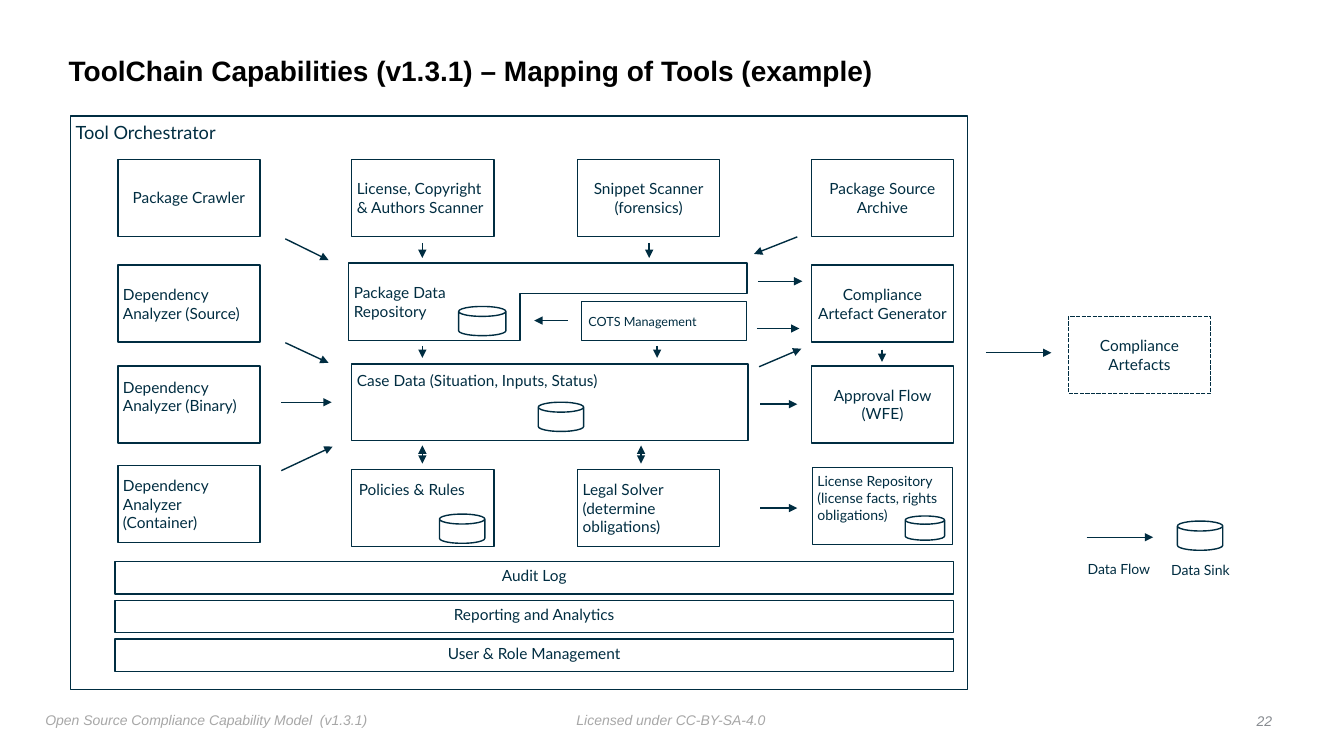
from lxml import etree
from pptx import Presentation
from pptx import util as u
from pptx.dml.color import RGBColor
from pptx.enum import dml, shapes, text
from pptx.oxml.ns import qn

NAVY = RGBColor(0x00, 0x2D, 0x41)
WHITE = RGBColor(0xFF, 0xFF, 0xFF)
BLACK = RGBColor(0x00, 0x00, 0x00)
FOOTER_GREY = RGBColor(0xA7, 0xA7, 0xA7)
NUMBER_GREY = RGBColor(0x88, 0x8C, 0x91)

LEFT, CENTER, RIGHT = text.PP_ALIGN.LEFT, text.PP_ALIGN.CENTER, text.PP_ALIGN.RIGHT
TOP, MIDDLE = text.MSO_ANCHOR.TOP, text.MSO_ANCHOR.MIDDLE
INSET = 3.6
BOX_W, BOX_H = 101.5, 55
COLUMNS = (84.2, 251.3, 412.6, 579.6)
ROWS = (113.8, 189.4, 261.4, 335.5)
BARS = ("Audit Log", "Reporting and Analytics", "User & Role Management")
BAR_TOP, BAR_STEP = 401, 27.75

# wording, column, row, alignment, formats that differ
GRID_BOXES = [
    ("Package Crawler", 0, 0, CENTER, {}),
    ("License, Copyright & Authors Scanner", 1, 0, LEFT, {}),
    ("Snippet Scanner\n(forensics)", 2, 0, CENTER, {}),
    ("Package Source Archive", 3, 0, CENTER, {}),
    ("Dependency Analyzer (Source)", 0, 1, LEFT, {}),
    ("Compliance Artefact Generator", 3, 1, CENTER, {}),
    ("Dependency Analyzer (Binary)", 0, 2, LEFT, {"anchor": TOP, "top": 8.6}),
    ("Approval Flow (WFE)", 3, 2, CENTER, {}),
    ("Policies & Rules", 1, 3, LEFT, {"anchor": TOP, "top": 7.2, "left": 5}),
    ("Legal Solver (determine obligations)", 2, 3, LEFT, {}),
]

# x and y of the start, x and y of the end
FLOWS = [
    (203.8, 170.6, 234.7, 185.8),
    (203.8, 244.8, 234.7, 259.2),
    (200.9, 287.3, 236.9, 287.3),
    (200.9, 336.2, 237.6, 319),
    (301.7, 173.5, 301.7, 184.3),
    (463.7, 173.5, 463.7, 184.3),
    (569.5, 169.2, 538.6, 181.4),
    (301.7, 247, 301.7, 255.6),
    (469.4, 247, 469.4, 255.6),
    (630, 249.8, 630, 258.5),
    (405.4, 229, 381.6, 229),
    (541.4, 200.9, 573.1, 200.9),
    (540.7, 234.7, 571, 234.7),
    (542.2, 262, 572.4, 249.1),
    (543, 288.7, 569.5, 288.7),
    (543, 362.9, 569.5, 362.9),
    (704.2, 252, 751, 252),
    (776.2, 383.8, 823.7, 383.8),
]
TWO_WAY_FLOWS = [(301.7, 331.2, 301.7, 318.2), (457.9, 331.2, 457.9, 318.2)]

DATA_SINKS = [
    (327.6, 218.9, 33.8, 20.9),
    (384.5, 287.3, 32.4, 20.9),
    (313.9, 367.2, 32.4, 20.9),
    (646.6, 368.6, 28.1, 17.3),
    (841, 372.2, 32.4, 20.9),
]


def set_all(target, formats):
    for name, value in formats.items():
        setattr(target, name, value)


def write(box, wording, size=11, align=LEFT, anchor=MIDDLE, left=INSET, top=INSET,
          right=INSET, wrap=True, spacing=None, color=NAVY, **font):
    frame = box.text_frame
    set_all(frame, {
        "word_wrap": wrap, "vertical_anchor": anchor,
        "margin_left": u.Pt(left), "margin_top": u.Pt(top),
        "margin_right": u.Pt(right), "margin_bottom": u.Pt(INSET),
    })
    para = frame.paragraphs[0]
    para.text = wording
    set_all(para, {"alignment": align, "line_spacing": spacing})
    for span in para.runs:
        set_all(span.font, {"name": "Lato", "size": u.Pt(size), **font})
        span.font.color.rgb = color


def outline(shape):
    shape.shadow.inherit = False
    shape.fill.solid()
    shape.fill.fore_color.rgb = WHITE
    shape.line.color.rgb = NAVY
    shape.line.width = u.Pt(1)


def add_box(page, place, wording, **formats):
    box = page.shapes.add_shape(shapes.MSO_SHAPE.RECTANGLE, *map(u.Pt, place))
    outline(box)
    write(box, wording, **formats)
    return box


def add_label(page, place, wording, **formats):
    write(page.shapes.add_textbox(*map(u.Pt, place)), wording, **formats)


def add_data_sink(page, place):
    can = page.shapes.add_shape(shapes.MSO_SHAPE.CAN, *map(u.Pt, place))
    can.adjustments[0] = 0.34
    outline(can)


def add_flow(page, ends, heads=("tailEnd",)):
    """Draw an arrow; heads names the line ends that carry a triangle."""
    flow = page.shapes.add_connector(shapes.MSO_CONNECTOR.STRAIGHT, *map(u.Pt, ends))
    flow.line.color.rgb = NAVY
    flow.line.width = u.Pt(1)
    line = flow.line._get_or_add_ln()
    for head in heads:
        etree.SubElement(line, qn(f"a:{head}")).set("type", "triangle")
    etree.SubElement(flow._element.spPr, qn("a:effectLst"))


def add_repository(page):
    """Draw the L-shaped package data box, its text kept to the left part."""
    left, top, inner, right, ledge, bottom = 249.1, 187.9, 371.5, 533.5, 209.5, 243.4
    builder = page.shapes.build_freeform(u.Pt(left), u.Pt(top))
    corners = [(right, top), (right, ledge), (inner, ledge), (inner, bottom), (left, bottom)]
    builder.add_line_segments([(u.Pt(x), u.Pt(y)) for x, y in corners])
    repository = builder.convert_to_shape()
    outline(repository)
    write(repository, "Package Data Repository", right=right - inner + INSET)


def add_texts(page):
    footer = {"size": 10, "name": "Arial", "italic": True}
    add_label(page, (45.4, 28, 774, 46.8),
              "ToolChain Capabilities (v1.3.1) – Mapping of Tools (example)",
              size=20, name="Arial", bold=True, color=BLACK, spacing=0.9)
    add_label(page, (28.8, 504.7, 242, 19.4),
              "Open Source Compliance Capability Model  (v1.3.1)",
              anchor=TOP, color=FOOTER_GREY, wrap=False, **footer)
    add_label(page, (408.2, 504.7, 143.3, 18), "Licensed under CC-BY-SA-4.0",
              anchor=TOP, color=FOOTER_GREY, wrap=False, **footer)
    add_label(page, (872.3, 506.2, 40, 18), "22", align=RIGHT, color=NUMBER_GREY, **footer)
    add_label(page, (773.3, 396.7, 53.3, 20.9), "Data Flow", size=10, anchor=TOP, wrap=False)
    add_label(page, (833, 397.4, 50.4, 20.9), "Data Sink", size=10, anchor=TOP, wrap=False)


def add_boxes(page):
    add_box(page, (50.4, 82.8, 640.8, 409.7), "Tool Orchestrator", size=13, anchor=TOP)
    for wording, column, row, align, formats in GRID_BOXES:
        add_box(page, (COLUMNS[column], ROWS[row], BOX_W, BOX_H), wording,
                align=align, **formats)
    add_box(page, (COLUMNS[0], 332.6, BOX_W, BOX_H), "Dependency Analyzer (Container)")
    add_box(page, (580.3, 334.1, 100.1, BOX_H),
            "License Repository (license facts, rights obligations)", size=10, anchor=TOP)
    add_box(page, (251.3, 259.9, 283, BOX_H), "Case Data (Situation, Inputs, Status)",
            anchor=TOP, top=5)
    add_box(page, (415.4, 215.3, 118.1, 28.1), "COTS Management", size=9, left=5)
    for index, wording in enumerate(BARS):
        add_box(page, (82.1, BAR_TOP + index * BAR_STEP, 599, 23.3), wording,
                align=CENTER, anchor=TOP)
    artefacts = add_box(page, (763.2, 226.1, BOX_W, BOX_H), "Compliance Artefacts", align=CENTER)
    artefacts.line.dash_style = dml.MSO_LINE.SQUARE_DOT


def main():
    deck = Presentation()
    set_all(deck, {"slide_width": u.Pt(960), "slide_height": u.Pt(540)})
    page = deck.slides.add_slide(deck.slide_layouts[6])
    add_texts(page)
    add_boxes(page)
    add_repository(page)
    for place in DATA_SINKS:
        add_data_sink(page, place)
    for ends in FLOWS:
        add_flow(page, ends)
    for ends in TWO_WAY_FLOWS:
        add_flow(page, ends, ("headEnd", "tailEnd"))
    deck.save("out.pptx")


if __name__ == "__main__":
    main()
